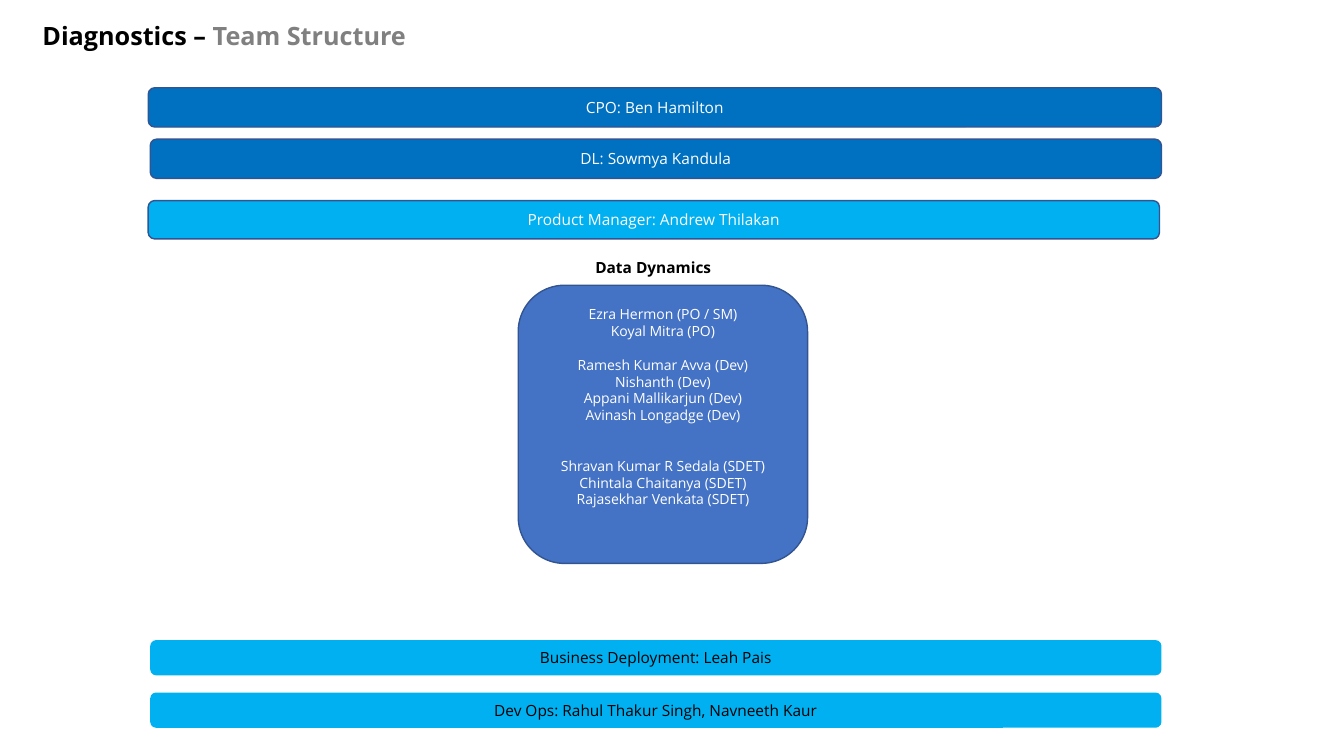
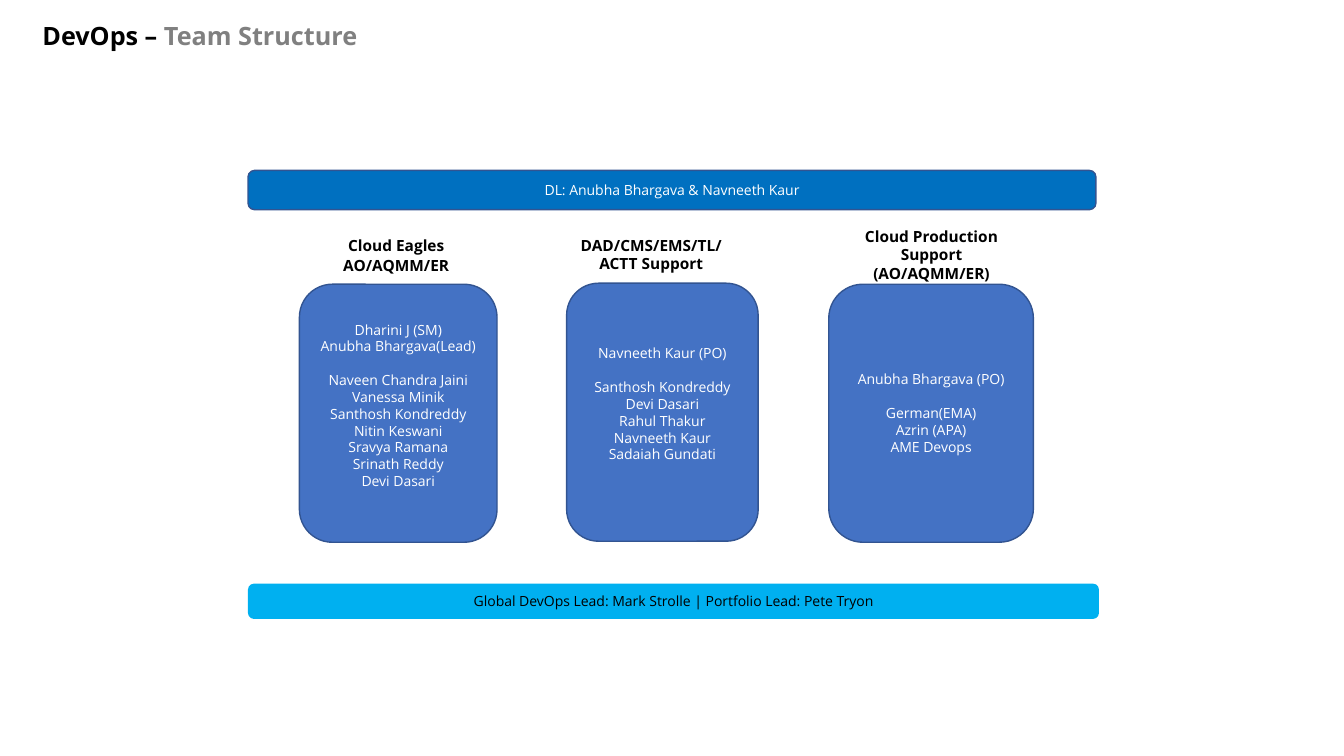
from pptx import Presentation
from pptx.dml.color import RGBColor
from pptx.enum.shapes import MSO_SHAPE
from pptx.enum.text import MSO_ANCHOR as Anchor, PP_ALIGN as Align
from pptx.util import Inches, Pt

FONT = "Open Sans"
BLACK, WHITE, GREY = "000000", "FFFFFF", "808080"
EDGE = "325491"
TEAM_FILL = "4472C4"
LINE_PT = 12  # height of one line of member names

# Bar styles: fill, edge, text colour
BAR_STYLES = {
    "lead": ("0070C0", EDGE, WHITE),
    "manager": ("00B0F0", EDGE, WHITE),
    "support": ("00B0F0", None, BLACK),
}

# bars: style, text, (left, top, width, height)
# teams: heading lines and place, card place, inset above the names,
#        groups of (blank lines before the group, names)
SLIDES = [
    {
        "title": "Diagnostics",
        "bar_size": 11,
        "bars": [
            ("lead", "CPO: Ben Hamilton", (1.47, 0.87, 10.05, 0.39)),
            ("lead", "DL: Sowmya Kandula", (1.49, 1.38, 10.03, 0.39)),
            ("manager", "Product Manager: Andrew Thilakan", (1.47, 1.99, 10.03, 0.38)),
            ("support", "Business Deployment: Leah Pais", (1.49, 6.35, 10.03, 0.35)),
            ("support", "Dev Ops: Rahul Thakur Singh, Navneeth Kaur", (1.49, 6.87, 10.03, 0.35)),
        ],
        "teams": [
            {
                "heading": ["Data Dynamics"],
                "heading_at": (5.7, 2.56, 1.56, 0.19),
                "card_at": (5.14, 2.83, 2.87, 2.76),
                "inset": 0.07,
                "groups": [
                    (0, ["Ezra Hermon (PO / SM)", "Koyal Mitra (PO)"]),
                    (1, ["Ramesh Kumar Avva (Dev)", "Nishanth (Dev)",
                         "Appani Mallikarjun (Dev)", "Avinash Longadge (Dev)"]),
                    (2, ["Shravan Kumar R Sedala (SDET)", "Chintala Chaitanya (SDET)",
                         "Rajasekhar Venkata (SDET)"]),
                ],
            },
        ],
    },
    {
        "title": "DevOps",
        "bar_size": 10,
        "bars": [
            ("lead", "DL: Anubha Bhargava & Navneeth Kaur", (2.46, 1.69, 8.41, 0.39)),
            ("support", "Global DevOps Lead: Mark Strolle | Portfolio Lead: Pete Tryon",
             (2.46, 5.79, 8.44, 0.35)),
        ],
        "teams": [
            {
                "heading": ["Cloud Eagles", "AO/AQMM/ER"],
                "heading_at": (2.92, 2.34, 2.02, 0.38),
                "card_at": (2.97, 2.82, 1.96, 2.56),
                "inset": 0.27,
                "groups": [
                    (0, ["Dharini J (SM)", "Anubha Bhargava(Lead)"]),
                    (1, ["Naveen Chandra Jaini", "Vanessa Minik", "Santhosh Kondreddy",
                         "Nitin Keswani", "Sravya Ramana", "Srinath Reddy", "Devi Dasari"]),
                ],
            },
            {
                "heading": ["DAD/CMS/EMS/TL/ACTT Support"],
                "heading_at": (5.68, 2.34, 1.56, 0.37),
                "card_at": (5.62, 2.81, 1.9, 2.56),
                "inset": 0.52,
                "groups": [
                    (0, ["Navneeth Kaur (PO)"]),
                    (1, ["Santhosh Kondreddy", "Devi Dasari", "Rahul Thakur",
                         "Navneeth Kaur", "Sadaiah Gundati"]),
                ],
            },
            {
                "heading": ["Cloud Production Support (AO/AQMM/ER)"],
                "heading_at": (8.46, 2.25, 1.56, 0.56),
                "card_at": (8.22, 2.82, 2.03, 2.56),
                "inset": 0.76,
                "groups": [
                    (0, ["Anubha Bhargava (PO)"]),
                    (1, ["German(EMA)", "Azrin (APA)", "AME Devops"]),
                ],
            },
        ],
    },
]


def rgb(code):
    return RGBColor.from_string(code)


def style_font(font, size, colour, bold=False):
    font.name = FONT
    font.size = Pt(size)
    font.bold = bold
    font.color.rgb = rgb(colour)


def prepare_frame(shape, anchor, side=0, top=0, bottom=0):
    frame = shape.text_frame
    frame.word_wrap = True
    frame.vertical_anchor = anchor
    frame.margin_left = frame.margin_right = Inches(side)
    frame.margin_top, frame.margin_bottom = Inches(top), Inches(bottom)
    return frame


def write_lines(frame, lines, size, colour, bold=False):
    """Write centred paragraphs from (points before, text) pairs."""
    for index, (before, text) in enumerate(lines):
        paragraph = frame.add_paragraph() if index else frame.paragraphs[0]
        paragraph.text = text
        paragraph.alignment = Align.CENTER
        if before:
            paragraph.space_before = Pt(before)
        style_font(paragraph.font, size, colour, bold)


def add_text_box(slide, place):
    return slide.shapes.add_textbox(*map(Inches, place))


def add_rounded(slide, place, fill, edge):
    rounded = slide.shapes.add_shape(MSO_SHAPE.ROUNDED_RECTANGLE, *map(Inches, place))
    rounded.shadow.inherit = False
    rounded.fill.solid()
    rounded.fill.fore_color.rgb = rgb(fill)
    if edge:
        rounded.line.color.rgb = rgb(edge)
        rounded.line.width = Pt(1)
    else:
        rounded.line.fill.background()
    return rounded


def add_title(slide, subject):
    frame = prepare_frame(add_text_box(slide, (0.42, 0.19, 12.31, 0.37)), Anchor.MIDDLE)
    paragraph = frame.paragraphs[0]
    paragraph.line_spacing = 0.9
    for text, colour in ((f"{subject} – ", BLACK), ("Team Structure", GREY)):
        run = paragraph.add_run()
        run.text = text
        style_font(run.font, 18, colour, bold=True)


def add_bar(slide, style, text, place, size):
    fill, edge, colour = BAR_STYLES[style]
    bar = add_rounded(slide, place, fill, edge)
    frame = prepare_frame(bar, Anchor.MIDDLE, 0.05, 0.05, 0.05)
    write_lines(frame, [(0, text)], size, colour)


def add_team(slide, team):
    card = add_rounded(slide, team["card_at"], TEAM_FILL, EDGE)
    names = [
        (0 if index else gap * LINE_PT, name)
        for gap, members in team["groups"]
        for index, name in enumerate(members)
    ]
    frame = prepare_frame(card, Anchor.TOP, 0.05, team["inset"])
    write_lines(frame, names, 10, WHITE)

    heading = prepare_frame(add_text_box(slide, team["heading_at"]), Anchor.TOP)
    lines = [(1.1 if index else 0, text) for index, text in enumerate(team["heading"])]
    write_lines(heading, lines, 11, BLACK, bold=True)


def main():
    deck = Presentation()
    deck.slide_width, deck.slide_height = Inches(13.33), Inches(7.5)
    for content in SLIDES:
        slide = deck.slides.add_slide(deck.slide_layouts[6])
        add_title(slide, content["title"])
        for style, text, place in content["bars"]:
            add_bar(slide, style, text, place, content["bar_size"])
        for team in content["teams"]:
            add_team(slide, team)
    deck.save("out.pptx")


if __name__ == "__main__":
    main()
